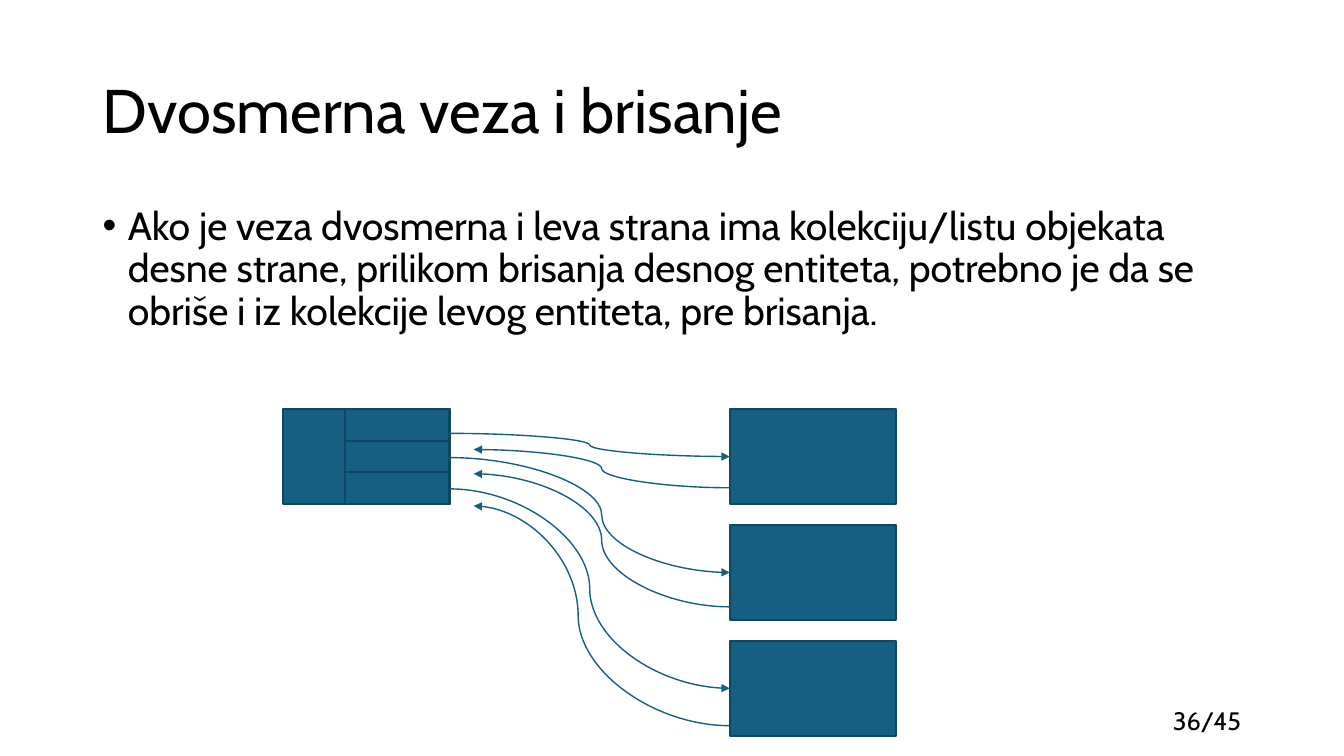
from lxml.etree import SubElement
from pptx import Presentation
from pptx.dml.color import RGBColor
from pptx.enum.shapes import MSO_CONNECTOR as Connector, MSO_SHAPE as Preset
from pptx.enum.text import MSO_ANCHOR as Anchor, PP_ALIGN as Align
from pptx.oxml.ns import qn
from pptx.util import Inches, Pt

TEAL = RGBColor(0x15, 0x60, 0x82)
DARK_TEAL = RGBColor(0x10, 0x47, 0x60)
BLACK = RGBColor(0, 0, 0)

COLUMNS = ROWS = 100
ENTITY_WIDTH, ENTITY_HEIGHT = 12.38, 12.53
ENTITY_TOP, ENTITY_PITCH = 54.13, 15.33
LEFT_ENTITY, RIGHT_ENTITY = 21.08, 54.3
ITEM_LEFT, ITEM_WIDTH = 25.65, 7.8
LEFT_EDGE = LEFT_ENTITY + ENTITY_WIDTH
RETURN_END = 35.25

# start row, bend; then return start row, return end row, return bend
LINKS = [
    (57.33, 50, 64.53, 59.47, 50),
    (60.53, 54.3, 80.27, 62.67, 50),
    (64.67, 50, 96, 66.93, 59.2),
]


class SlideBuilder:
    font = "Cabin"

    def __init__(self, deck):
        self.deck = deck
        self.page = deck.slides.add_slide(deck.slide_layouts[6])

    def column(self, count):
        return round(self.deck.slide_width * count / COLUMNS)

    def row(self, count):
        return round(self.deck.slide_height * count / ROWS)

    def place(self, left, top, width, height):
        return self.column(left), self.row(top), self.column(width), self.row(height)

    def text(self, words, area, size, bullet=None, anchor=Anchor.TOP, **formats):
        frame = self.page.shapes.add_textbox(*self.place(*area)).text_frame
        frame.word_wrap = True
        frame.vertical_anchor = anchor
        para = frame.paragraphs[0]
        for name, value in formats.items():
            setattr(para, name, value)
        if bullet:
            properties = para._p.get_or_add_pPr()
            properties.set("marL", str(Inches(0.25)))
            properties.set("indent", str(Inches(-0.25)))
            SubElement(properties, qn("a:buFont"), typeface="Arial")
            SubElement(properties, qn("a:buChar"), char=bullet)
        span = para.add_run()
        span.text = words
        for name, value in {"name": self.font, "size": Pt(size)}.items():
            setattr(span.font, name, value)
        span.font.color.rgb = BLACK

    def block(self, *area):
        box = self.page.shapes.add_shape(Preset.RECTANGLE, *self.place(*area))
        box.shadow.inherit = False
        box.fill.solid()
        box.fill.fore_color.rgb = TEAL
        box.line.color.rgb = DARK_TEAL
        box.line.width = Pt(1.5)

    def arrow(self, start, end, bend):
        (x1, y1), (x2, y2) = start, end
        link = self.page.shapes.add_connector(
            Connector.CURVE, self.column(x1), self.row(y1), self.column(x2), self.row(y2))
        link.line.color.rgb = TEAL
        link.line.width = Pt(1)
        properties = link._element.spPr
        SubElement(properties.find(qn("a:ln")), qn("a:tailEnd"), type="triangle")
        SubElement(properties, qn("a:effectLst"))
        guides = properties.find(qn("a:prstGeom")).find(qn("a:avLst"))
        SubElement(guides, qn("a:gd"), name="adj1", fmla=f"val {round(bend * 1000)}")


def main():
    deck = Presentation()
    deck.slide_width, deck.slide_height = Inches(13.33), Inches(7.5)
    slide = SlideBuilder(deck)

    slide.text("36/45", (70.58, 92.67, 22.5, 5.33), 18, alignment=Align.RIGHT)
    slide.text("Dvosmerna veza i brisanje", (6.9, 5.33, 86.25, 19.33), 44,
               anchor=Anchor.MIDDLE, line_spacing=0.9)
    slide.text("Ako je veza dvosmerna i leva strana ima kolekciju/listu objekata "
               "desne strane, prilikom brisanja desnog entiteta, potrebno je da se "
               "obriše i iz kolekcije levog entiteta, pre brisanja.",
               (6.9, 26.67, 86.25, 63.47), 28, bullet="•",
               line_spacing=0.9, space_before=Pt(10))

    slide.block(LEFT_ENTITY, ENTITY_TOP, ENTITY_WIDTH, ENTITY_HEIGHT)
    item_height = ENTITY_HEIGHT / len(LINKS)
    for index, (out_row, out_bend, back_row, end_row, back_bend) in enumerate(LINKS):
        entity_top = ENTITY_TOP + index * ENTITY_PITCH
        slide.block(ITEM_LEFT, ENTITY_TOP + index * item_height, ITEM_WIDTH, item_height)
        slide.block(RIGHT_ENTITY, entity_top, ENTITY_WIDTH, ENTITY_HEIGHT)
        slide.arrow((LEFT_EDGE, out_row),
                    (RIGHT_ENTITY, entity_top + ENTITY_HEIGHT / 2), out_bend)
        slide.arrow((RIGHT_ENTITY, back_row), (RETURN_END, end_row), back_bend)

    deck.save("out.pptx")


if __name__ == "__main__":
    main()
